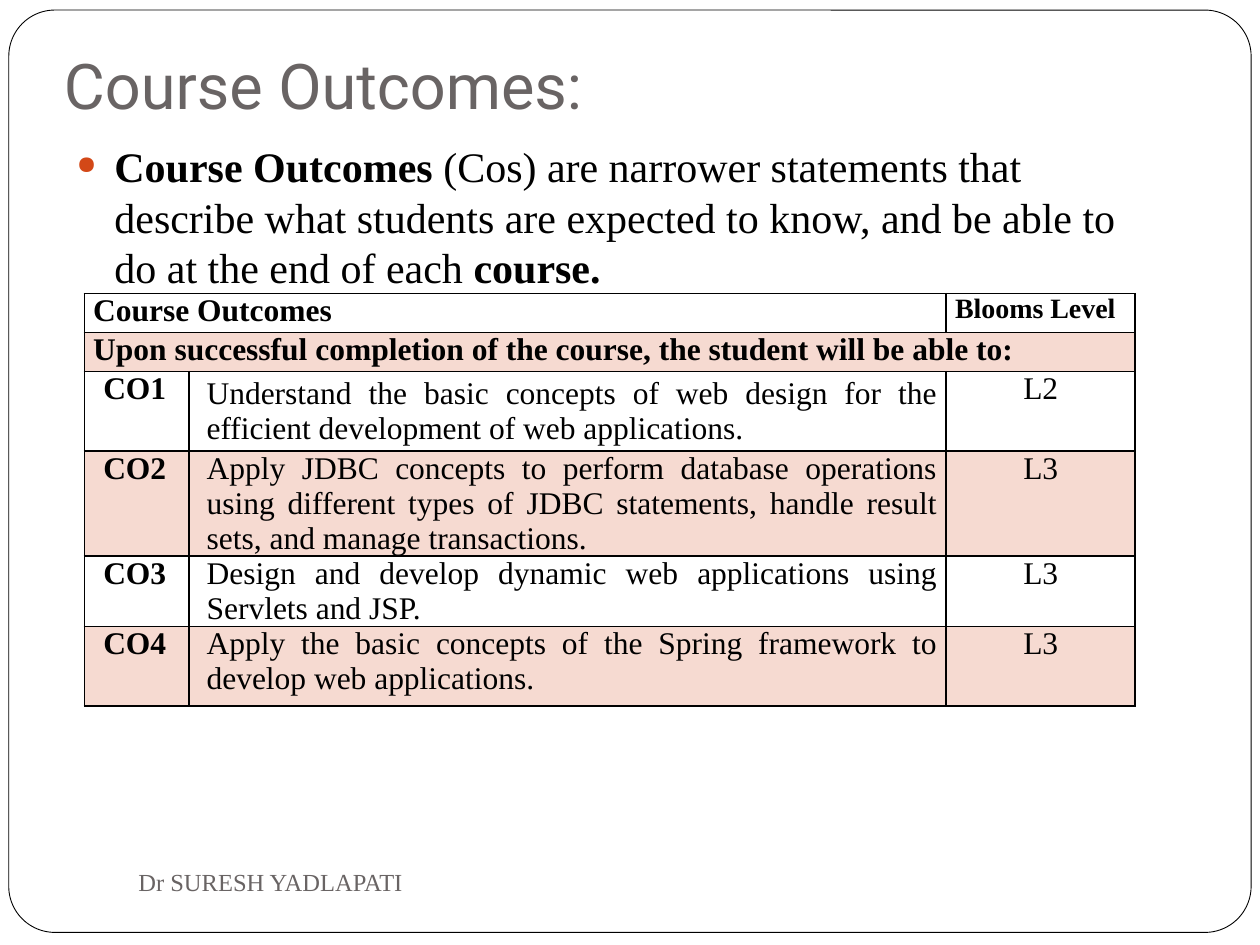
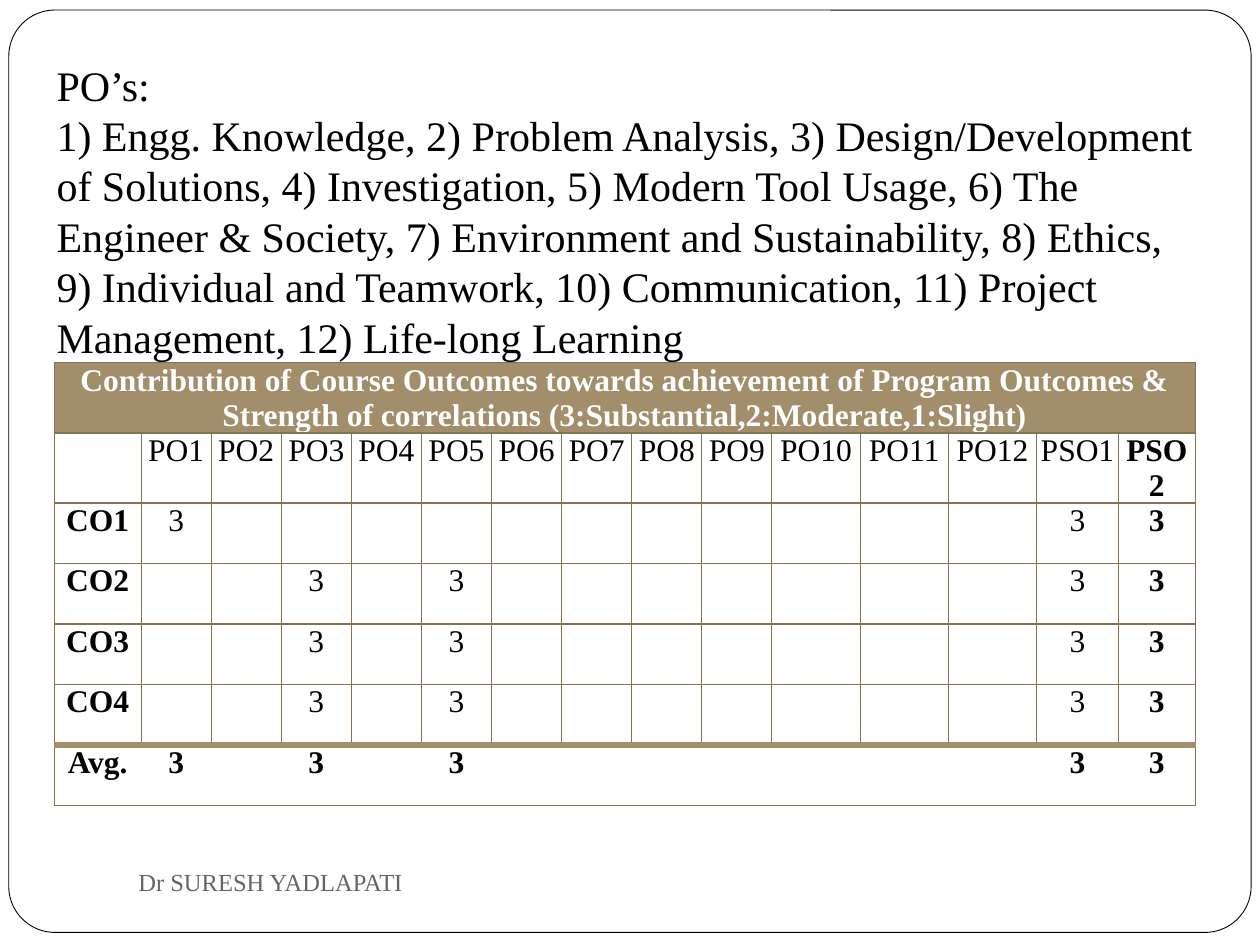
"""Builds two slides on course outcomes and how they map to program outcomes."""
from lxml import etree
from pptx import Presentation
from pptx import util as u
from pptx.dml.color import RGBColor
from pptx.enum import shapes, text
from pptx.oxml import ns

BLACK = RGBColor(0x00, 0x00, 0x00)
WHITE = RGBColor(0xFF, 0xFF, 0xFF)
GREY = RGBColor(0x69, 0x64, 0x64)
ORANGE = RGBColor(0xD3, 0x48, 0x17)
PALE_ORANGE = RGBColor(0xF6, 0xDA, 0xD1)
TAN = RGBColor(0xA2, 0x8E, 0x6A)
BROWN = RGBColor(0x84, 0x72, 0x53)
SERIF = "Times New Roman"
CENTER = text.PP_ALIGN.CENTER
JUSTIFY = text.PP_ALIGN.JUSTIFY
TOP, MIDDLE, BOTTOM = text.MSO_ANCHOR.TOP, text.MSO_ANCHOR.MIDDLE, text.MSO_ANCHOR.BOTTOM

OUTCOMES = [
    ("CO1", "Understand the basic concepts of web design for the efficient "
            "development of web applications.", "L2"),
    ("CO2", "Apply JDBC concepts to perform database operations using different types of "
            "JDBC statements, handle result sets, and manage transactions.", "L3"),
    ("CO3", "Design and develop dynamic web applications using Servlets and JSP.", "L3"),
    ("CO4", "Apply the basic concepts of the Spring framework to develop web applications.", "L3"),
]
PROGRAM_OUTCOMES = (
    "PO’s:\n1) Engg. Knowledge, 2) Problem Analysis, 3) Design/Development of Solutions, "
    "4) Investigation, 5) Modern Tool Usage, 6) The Engineer & Society, "
    "7) Environment and Sustainability, 8) Ethics,\n9) Individual and Teamwork, "
    "10) Communication, 11) Project Management, 12) Life-long Learning")
CONTRIBUTION = ("Contribution of Course Outcomes towards achievement of Program Outcomes & "
                "Strength of correlations (3:Substantial,2:Moderate,1:Slight)")
TARGETS = [f"PO{number}" for number in range(1, 13)] + ["PSO1", "PSO2"]
STRENGTHS = {
    "CO1": {"PO1": 3, "PSO1": 3, "PSO2": 3},
    "CO2": {"PO3": 3, "PO5": 3, "PSO1": 3, "PSO2": 3},
    "CO3": {"PO3": 3, "PO5": 3, "PSO1": 3, "PSO2": 3},
    "CO4": {"PO3": 3, "PO5": 3, "PSO1": 3, "PSO2": 3},
    "Avg.": {"PO1": 3, "PO3": 3, "PO5": 3, "PSO1": 3, "PSO2": 3},
}


def write_text(paragraph, content, size=18, color=BLACK, font=SERIF, bold=False,
               align=None, indent=0):
    """Add formatted text to a paragraph, with a line break at each newline."""
    paragraph.alignment = align
    if indent:
        paragraph._p.get_or_add_pPr().set("marL", str(u.Inches(indent)))
    for index, line in enumerate(content.split("\n")):
        if index:
            paragraph.add_line_break()
        run = paragraph.add_run()
        run.text = line
        run.font.size = u.Pt(size)
        run.font.name = font
        run.font.bold = bold
        run.font.color.rgb = color


def add_text_box(slide, left, top, width, height, anchor=TOP, bottom_inset=0.05):
    """Add an empty wrapping text box and return its first paragraph."""
    box = slide.shapes.add_textbox(*map(u.Inches, (left, top, width, height)))
    frame = box.text_frame
    frame.word_wrap = True
    frame.vertical_anchor = anchor
    frame.margin_bottom = u.Inches(bottom_inset)
    return frame.paragraphs[0]


def add_bullet(paragraph, color, percent, indent):
    """Give a paragraph a round bullet with a hanging indent."""
    properties = paragraph._p.get_or_add_pPr()
    properties.set("marL", str(u.Inches(indent)))
    properties.set("indent", str(-u.Inches(indent)))
    bullet_color = etree.SubElement(properties, ns.qn("a:buClr"))
    etree.SubElement(bullet_color, ns.qn("a:srgbClr"), val=str(color))
    etree.SubElement(properties, ns.qn("a:buSzPct"), val=str(percent * 1000))
    etree.SubElement(properties, ns.qn("a:buChar"), char="●")


def add_framed_slide(presentation):
    """Add a blank slide with the rounded frame and the footer."""
    slide = presentation.slides.add_slide(presentation.slide_layouts[6])
    frame = slide.shapes.add_shape(shapes.MSO_SHAPE.ROUNDED_RECTANGLE,
                                   *map(u.Inches, (0.07, 0.08, 9.86, 7.32)))
    frame.adjustments[0] = 0.05
    frame.shadow.inherit = False
    frame.fill.solid()
    frame.fill.fore_color.rgb = WHITE
    frame.line.color.rgb = BLACK
    frame.line.width = u.Pt(0.5)
    footer = add_text_box(slide, 1, 6.75, 4.33, 0.5, anchor=MIDDLE)
    write_text(footer, "Dr SURESH YADLAPATI", size=14, color=GREY)
    return slide


def set_borders(cell, color, width, **special):
    """Draw the four cell borders; special maps a side to (color, width) or None."""
    properties = cell._tc.get_or_add_tcPr()
    for side in "LRTB":
        border = special.get(side, (color, width))
        if border is None:
            line = etree.SubElement(properties, ns.qn(f"a:ln{side}"), w="0")
            etree.SubElement(line, ns.qn("a:noFill"))
            continue
        line = etree.SubElement(properties, ns.qn(f"a:ln{side}"), w=str(u.Pt(border[1])))
        fill = etree.SubElement(line, ns.qn("a:solidFill"))
        etree.SubElement(fill, ns.qn("a:srgbClr"), val=str(border[0]))


def add_table(slide, left, top, columns, rows):
    """Add an unbanded table with the given column widths and row heights."""
    table = slide.shapes.add_table(len(rows), len(columns), u.Inches(left), u.Inches(top),
                                   u.Inches(sum(columns)), u.Inches(sum(rows))).table
    table.first_row = table.horz_banding = False
    for column, width in zip(table.columns, columns):
        column.width = u.Inches(width)
    for row, height in zip(table.rows, rows):
        row.height = u.Inches(height)
    return table


def style_cell(cell, fill=None, inset=0):
    """Set the fill and side insets of a cell."""
    cell.margin_left = cell.margin_right = u.Inches(inset)
    cell.margin_top = cell.margin_bottom = 0
    if fill is None:
        cell.fill.background()
    else:
        cell.fill.solid()
        cell.fill.fore_color.rgb = fill


def write_cell(cell, content, size=18, **text_format):
    """Write formatted text in a cell with a fixed line height."""
    paragraph = cell.text_frame.paragraphs[0]
    paragraph.line_spacing = u.Pt(size / 0.9)
    write_text(paragraph, content, size=size, **text_format)


def add_outcome_table(slide):
    """Add the table of course outcomes and their levels."""
    table = add_table(slide, 0.67, 2.33, [0.83, 6.01, 1.5],
                      [0.31, 0.31, 0.63, 0.83, 0.56, 0.63])
    for row_index, row in enumerate(table.rows):
        for cell in row.cells:
            set_borders(cell, BLACK, 1)
            style_cell(cell, PALE_ORANGE if row_index % 2 else None, inset=0.07)
    table.cell(0, 0).merge(table.cell(0, 1))
    table.cell(1, 0).merge(table.cell(1, 2))
    write_cell(table.cell(0, 0), "Course Outcomes", bold=True)
    write_cell(table.cell(0, 2), "Blooms Level", size=16, bold=True)
    write_cell(table.cell(1, 0), "Upon successful completion of the course, "
               "the student will be able to:", bold=True)
    for row_index, (code, outcome, level) in enumerate(OUTCOMES, start=2):
        write_cell(table.cell(row_index, 0), code, bold=True, indent=0.08)
        write_cell(table.cell(row_index, 1), outcome, align=JUSTIFY, indent=0.07)
        write_cell(table.cell(row_index, 2), level, align=CENTER)
    table.cell(2, 1).vertical_anchor = MIDDLE


def add_correlation_table(slide):
    """Add the table that rates each course outcome against the program outcomes."""
    columns = [0.69] + [5.01 / 9] * 9 + [0.7] * 3 + [0.65, 0.61]
    table = add_table(slide, 0.43, 2.88, columns, [0.55] * 2 + [0.48] * len(STRENGTHS))
    last_row, last_column = len(table.rows) - 1, len(columns) - 1
    rule = (TAN, 4)
    for row_index, row in enumerate(table.rows):
        for column_index, cell in enumerate(row.cells):
            special = {}
            if row_index == last_row - 1:
                special["B"] = rule
            if row_index == last_row:
                special["T"] = rule
                if column_index > 0:
                    special["L"] = None
                if column_index < last_column:
                    special["R"] = None
            set_borders(cell, BROWN, 0.75, **special)
            style_cell(cell, None if row_index else TAN)
    table.cell(0, 0).merge(table.cell(0, last_column))
    write_cell(table.cell(0, 0), CONTRIBUTION, color=WHITE, bold=True, align=CENTER)
    for column_index, target in enumerate(TARGETS, start=1):
        write_cell(table.cell(1, column_index), target, bold=target == "PSO2", align=CENTER)
    for row_index, (label, strengths) in enumerate(STRENGTHS.items(), start=2):
        write_cell(table.cell(row_index, 0), label, bold=True, align=CENTER)
        for target, strength in strengths.items():
            write_cell(table.cell(row_index, TARGETS.index(target) + 1), str(strength),
                       bold=target == "PSO2" or label == "Avg.", align=CENTER)


def add_outcomes_slide(presentation):
    """Add the slide that defines the course outcomes."""
    slide = add_framed_slide(presentation)
    title = add_text_box(slide, 0.41, 0.3, 8.5, 0.77, anchor=BOTTOM, bottom_inset=0.1)
    write_text(title, "Course Outcomes:", size=36, color=GREY, font="Roboto")
    body = add_text_box(slide, 0.51, 1.07, 8.5, 5)
    body.space_before = u.Pt(5.8)
    add_bullet(body, ORANGE, percent=60, indent=0.3)
    write_text(body, "Course Outcomes", size=24, bold=True)
    write_text(body, " (Cos) are narrower statements that describe what students are expected "
               "to know, and be able to do at the end of each ", size=24)
    write_text(body, "course.", size=24, bold=True)
    add_outcome_table(slide)


def add_correlation_slide(presentation):
    """Add the slide that maps course outcomes to program outcomes."""
    slide = add_framed_slide(presentation)
    title = add_text_box(slide, 0.35, 1.47, 9.45, 1.5, anchor=BOTTOM, bottom_inset=0.1)
    write_text(title, PROGRAM_OUTCOMES, size=24)
    add_correlation_table(slide)


def main():
    """Build and save the presentation."""
    presentation = Presentation()
    presentation.slide_width = u.Inches(10)
    presentation.slide_height = u.Inches(7.5)
    add_outcomes_slide(presentation)
    add_correlation_slide(presentation)
    presentation.save("out.pptx")


if __name__ == "__main__":
    main()
